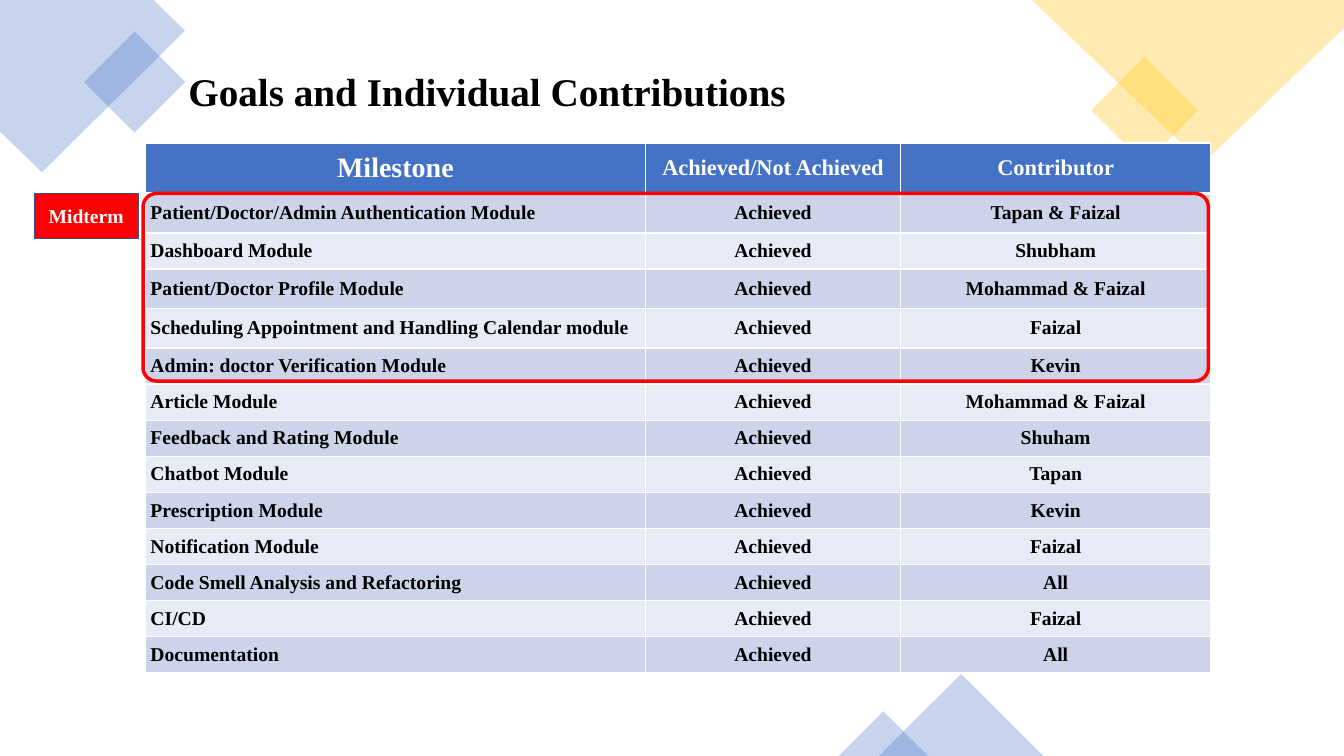
from pptx import Presentation
from pptx.util import Pt
from pptx.dml.color import RGBColor as RGB
from pptx.enum.shapes import MSO_SHAPE as Kind
from pptx.enum.text import MSO_ANCHOR as Anchor, PP_ALIGN as Align
from pptx.oxml.ns import qn
from lxml.etree import SubElement as Sub

HUES = {"blue": "4472C4", "gold": "FFC000", "dark": "CDD4EA", "pale": "E8EBF5",
        "red": "FF0000", "navy": "32538F", "white": "FFFFFF", "black": "000000"}
FONT = "Times New Roman"
PAD = 3.6
COLS = (357.2, 182.2, 221.6)
TALL = (1, 3, 4)
HEAD = (("Milestone", 20), ("Achieved/Not Achieved", 16), ("Contributor", 16))
GOALS = (
    ("Patient/Doctor/Admin Authentication Module", "Tapan & Faizal"),
    ("Dashboard Module", "Shubham"),
    ("Patient/Doctor Profile Module", "Mohammad & Faizal"),
    ("Scheduling Appointment and Handling Calendar module", "Faizal"),
    ("Admin: doctor Verification Module", "Kevin"),
    ("Article Module", "Mohammad & Faizal"),
    ("Feedback and Rating Module", "Shuham"),
    ("Chatbot Module", "Tapan"),
    ("Prescription Module", "Kevin"),
    ("Notification Module", "Faizal"),
    ("Code Smell Analysis and Refactoring", "All"),
    ("CI/CD", "Faizal"),
    ("Documentation", "All"),
)


def paint(part, hue):
    part.fill.solid()
    part.fill.fore_color.rgb = RGB.from_string(HUES[hue])


def tint(shape, hue):
    """Give a shape a 30 % fill without outline."""
    paint(shape, hue)
    shape.line.fill.background()
    shape.shadow.inherit = False
    color = shape._element.spPr.find(qn("a:solidFill"))[0]
    Sub(color, qn("a:alpha"), val="30000")


def write(frame, text, size, hue, align=Align.CENTER):
    para = frame.paragraphs[0]
    para.alignment = align
    run = para.add_run()
    run.text = text
    run.font.size = Pt(size)
    run.font.name = FONT
    run.font.bold = True
    run.font.color.rgb = RGB.from_string(HUES[hue])
    return para


def inset(part):
    """Same margins and middle anchor for cells and text frames."""
    part.margin_left = part.margin_right = Pt(PAD)
    part.margin_top = part.margin_bottom = Pt(PAD)
    part.vertical_anchor = Anchor.MIDDLE


def poly(slide, points, hue):
    pen = slide.shapes.build_freeform(*points[0], scale=Pt(1))
    pen.add_line_segments(points[1:], close=True)
    tint(pen.convert_to_shape(), hue)


def shape(slide, kind, box):
    return slide.shapes.add_shape(kind, *map(Pt, box))


def decor(slide, box):
    left, top, width, height = box
    right, base = left + width, top + height
    # Large corner pieces
    poly(slide, [(left, top), (left + 110, top), (left + 131.6, top + 21.6),
                 (left + 29.5, top + 123), (left, top + 93.6)], "blue")
    # Small tilted squares
    for x, y, side, hue in ((left + 70.6, top + 33.1, 51.1, "blue"),
                            (right - 169.4, top + 51.8, 54, "gold")):
        tile = shape(slide, Kind.RECTANGLE, (x, y, side, side))
        tile.rotation = 315
        tint(tile, hue)
    poly(slide, [(right - 223.4, top), (right, top), (right, top + 20.2),
                 (right - 100.8, top + 116.6)], "gold")
    # Peaks along the bottom edge
    for x, wide, tall in ((627.8, 117.4, 58.5), (599, 64, 32)):
        peak = shape(slide, Kind.ISOSCELES_TRIANGLE, (left + x, base - tall, wide, tall))
        tint(peak, "blue")


def title(slide, box):
    frame = slide.shapes.add_textbox(*map(Pt, box)).text_frame
    frame.word_wrap = True
    inset(frame)
    write(frame, "Goals and Individual Contributions", 28, "black",
          Align.LEFT).line_spacing = 0.9


def border(cell, base):
    props = cell._tc.get_or_add_tcPr()
    for spot, (side, wide) in enumerate((("L", 1), ("R", 1), ("T", 1), ("B", base))):
        line = Sub(props, qn("a:ln" + side), w=str(Pt(wide)))
        Sub(Sub(line, qn("a:solidFill")), qn("a:srgbClr"), val=HUES["white"])
        props.insert(spot, line)


def goals(slide, box):
    table = slide.shapes.add_table(len(GOALS) + 1, len(COLS), *map(Pt, box)).table
    for col, wide in zip(table.columns, COLS):
        col.width = Pt(wide)
    for at, row in enumerate(table.rows):
        row.height = Pt(36 if at == 0 else 28.2 if at in TALL else 25.8)
        if at:
            goal, who = GOALS[at - 1]
            items = ((goal, 14), ("Achieved", 14), (who, 14))
            fill, ink = ("dark" if at % 2 else "pale"), "black"
        else:
            items, fill, ink = HEAD, "blue", "white"
        for col, (text, size) in enumerate(items):
            cell = row.cells[col]
            inset(cell)
            paint(cell, fill)
            border(cell, 1 if at else 3)
            write(cell.text_frame, text, size, ink,
                  Align.LEFT if at and col == 0 else Align.CENTER)


def midterm(slide, box):
    left, top, width, height = box
    # Frame around the midterm rows
    frame = shape(slide, Kind.ROUNDED_RECTANGLE, box)
    frame.adjustments[0] = 0.072
    frame.fill.background()
    frame.line.color.rgb = RGB.from_string(HUES["red"])
    frame.line.width = Pt(2.5)
    frame.shadow.inherit = False
    # Label beside it
    tag = shape(slide, Kind.RECTANGLE, (left - 77.7, top, 74.2, 32.4))
    paint(tag, "red")
    tag.line.color.rgb = RGB.from_string(HUES["navy"])
    tag.line.width = Pt(1)
    tag.shadow.inherit = False
    inset(tag.text_frame)
    write(tag.text_frame, "Midterm", 14, "white")


def main():
    deck = Presentation()
    deck.slide_width, deck.slide_height = Pt(960), Pt(540)
    slide = deck.slides.add_slide(deck.slide_layouts[6])
    decor(slide, (0, 0, 960, 540))
    title(slide, (131, 39.6, 679, 55.4))
    goals(slide, (103.9, 102.2, 761, 378.6))
    midterm(slide, (102.2, 138.2, 761, 134))
    deck.save("out.pptx")


if __name__ == "__main__":
    main()
